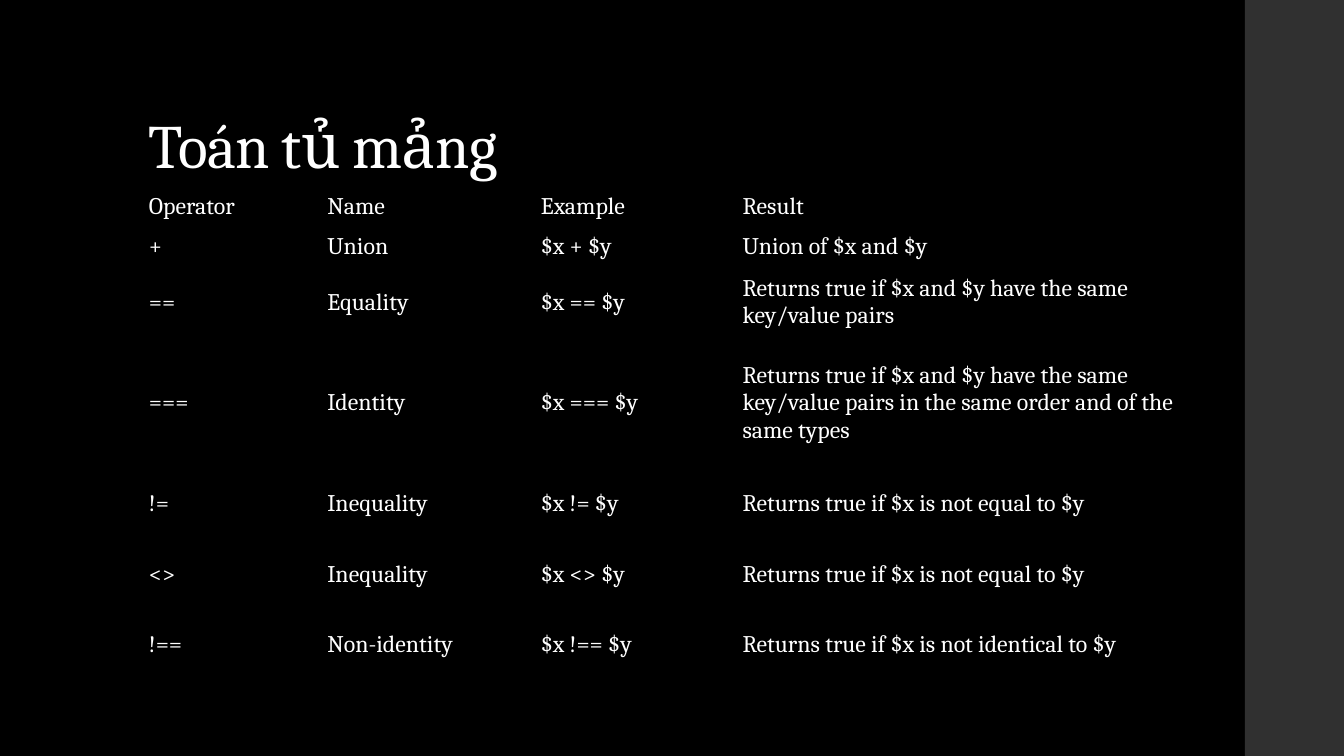
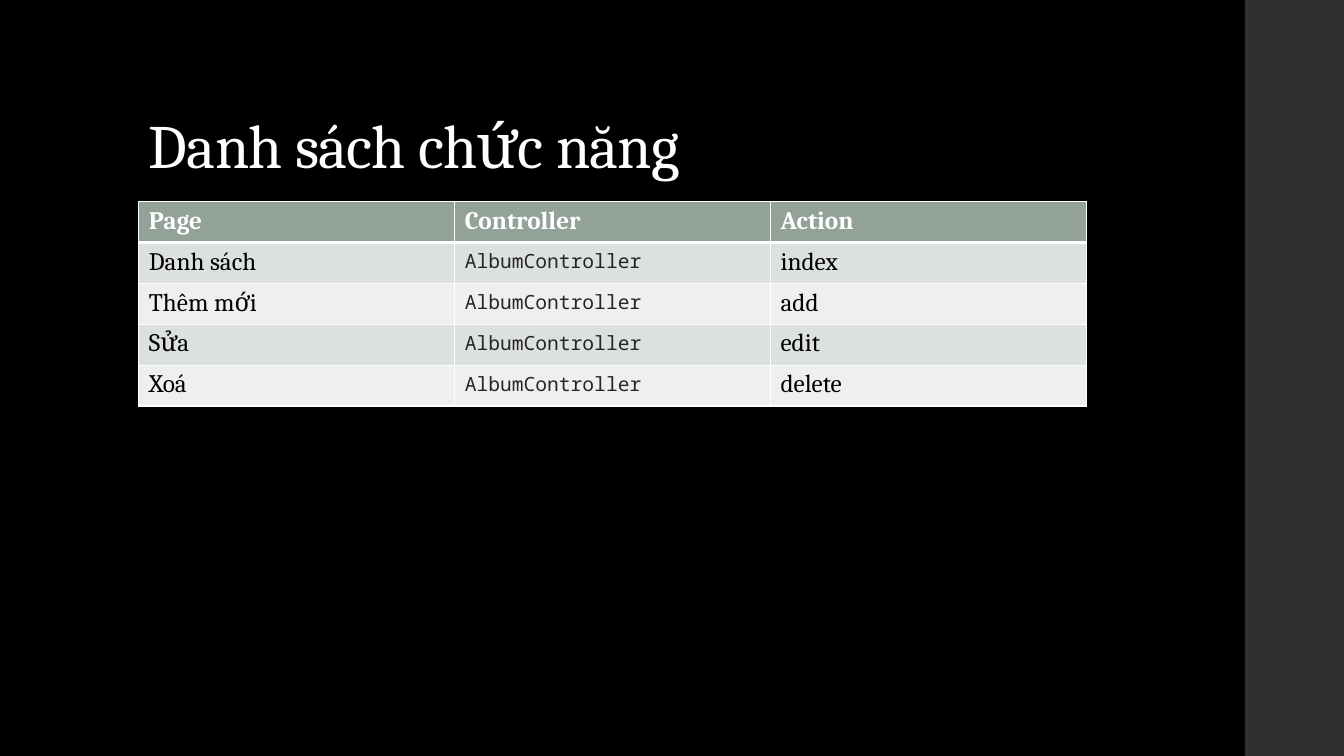
from pptx import Presentation
from pptx.dml.color import RGBColor
from pptx.enum.shapes import MSO_SHAPE
from pptx.enum.text import MSO_ANCHOR, PP_ALIGN
from pptx.oxml import parse_xml
from pptx.oxml.ns import nsdecls, qn
from pptx.util import Pt

BLACK, WHITE, BAND, SAGE = "000000", "FFFFFF", "303030", "93A299"
STRIPES = ["EEF0EF", "DCE0DE"]
SERIF, MONO = "Cambria", "Noto Sans Mono"
PLAIN_TABLE = "{2D5ABB26-0587-4C30-8999-92F81FD0307C}"
LEFT = 99.2


def color(value):
    return RGBColor.from_string(value)


def add_plain_table(slide, rows, top, widths, heights):
    frame = slide.shapes.add_table(len(rows), len(widths), Pt(LEFT), Pt(top),
                                   Pt(sum(widths)), Pt(sum(heights)))
    grid = frame.table
    grid.first_row = grid.horz_banding = False
    next(frame.element.iter(qn("a:tableStyleId"))).text = PLAIN_TABLE
    for column, width in zip(grid.columns, widths):
        column.width = Pt(width)
    for row, height, texts in zip(grid.rows, heights, rows):
        row.height = Pt(height)
        for cell, text in zip(row.cells, texts):
            run = cell.text_frame.paragraphs[0].add_run()
            run.text = text
            run.font.name = SERIF
    return frame


prs = Presentation()
prs.slide_width, prs.slide_height = Pt(960), Pt(540)

# Shared look: black background, side band, title position
master = prs.slide_master
master.background.fill.solid()
master.background.fill.fore_color.rgb = color(BLACK)
layout = prs.slide_layouts[5]
title_area = layout.placeholders[0]
title_area.left, title_area.top = Pt(LEFT), Pt(28.8)
title_area.width, title_area.height = Pt(763.2), Pt(104.4)

operators_slide, functions_slide = slides = [prs.slides.add_slide(layout) for _ in range(2)]
side_band = operators_slide.shapes.add_shape(MSO_SHAPE.RECTANGLE, Pt(889.2), 0, Pt(70.8), Pt(540))
side_band.shadow.inherit = False
side_band.fill.solid()
side_band.fill.fore_color.rgb = color(BAND)
side_band.line.fill.background()
master.shapes.element.insert(2, side_band.element)

# Titles
for slide, heading in zip(slides, ["Toán tủ mảng", "Danh sách chức năng"]):
    title = slide.shapes.title
    title.text_frame.vertical_anchor = MSO_ANCHOR.BOTTOM
    paragraph = title.text_frame.paragraphs[0]
    paragraph.alignment = PP_ALIGN.LEFT
    paragraph.line_spacing = 0.9
    run = paragraph.add_run()
    run.text = heading
    run.font.name, run.font.size = SERIF, Pt(44)
    run.font.color.rgb = color(WHITE)
    next(title.element.iter(qn("a:rPr"))).set("spc", "-50")

# Array operators
operators = [
    ("Operator", "Name", "Example", "Result"),
    ("+", "Union", "$x + $y", "Union of $x and $y"),
    ("==", "Equality", "$x == $y", "Returns true if $x and $y have the same key/value pairs"),
    ("===", "Identity", "$x === $y",
     "Returns true if $x and $y have the same key/value pairs in the same order and of the same types"),
    ("!=", "Inequality", "$x != $y", "Returns true if $x is not equal to $y"),
    ("<>", "Inequality", "$x <> $y", "Returns true if $x is not equal to $y"),
    ("!==", "Non-identity", "$x !== $y", "Returns true if $x is not identical to $y"),
]
operators_frame = add_plain_table(operators_slide, operators, 133.2, [127.4, 152.6, 144, 339.2],
                                  [28.8, 28.8, 50.4, 93.6, 50.4, 50.4, 50.4])
for cell in operators_frame.table.iter_cells():
    cell.vertical_anchor = MSO_ANCHOR.MIDDLE
    font = cell.text_frame.paragraphs[0].runs[0].font
    font.size = Pt(17)
    font.color.rgb = color(WHITE)

# Album functions
actions = [("Danh sách", "index"), ("Thêm mới", "add"), ("Sửa", "edit"), ("Xoá", "delete")]
functions = [("Page", "Controller", "Action")]
functions += [(page, "AlbumController", action) for page, action in actions]
functions_frame = add_plain_table(functions_slide, functions, 144, [225.6] * 3, [29.2] * 5)
for row_number, row in enumerate(functions_frame.table.rows):
    header = row_number == 0
    for column_number, cell in enumerate(row.cells):
        code = column_number == 1 and not header
        cell.fill.solid()
        cell.fill.fore_color.rgb = color(SAGE if header else STRIPES[row_number % 2])
        font = cell.text_frame.paragraphs[0].runs[0].font
        font.name = MONO if code else SERIF
        font.size = Pt(14 if code else 18)
        font.bold = header
        font.color.rgb = color(WHITE if header else "262626" if code else BLACK)

# White cell borders, thicker under the header
for row_number, row_element in enumerate(functions_frame.element.iter(qn("a:tr"))):
    for properties in row_element.iter(qn("a:tcPr")):
        for position, side in enumerate(["lnL", "lnR", "lnT", "lnB"]):
            width = Pt(3 if (row_number, side) in [(0, "lnB"), (1, "lnT")] else 1)
            properties.insert(position, parse_xml(
                f'<a:{side} {nsdecls("a")} w="{width}"><a:solidFill>'
                f'<a:srgbClr val="{WHITE}"/></a:solidFill></a:{side}>'))

prs.save("out.pptx")
